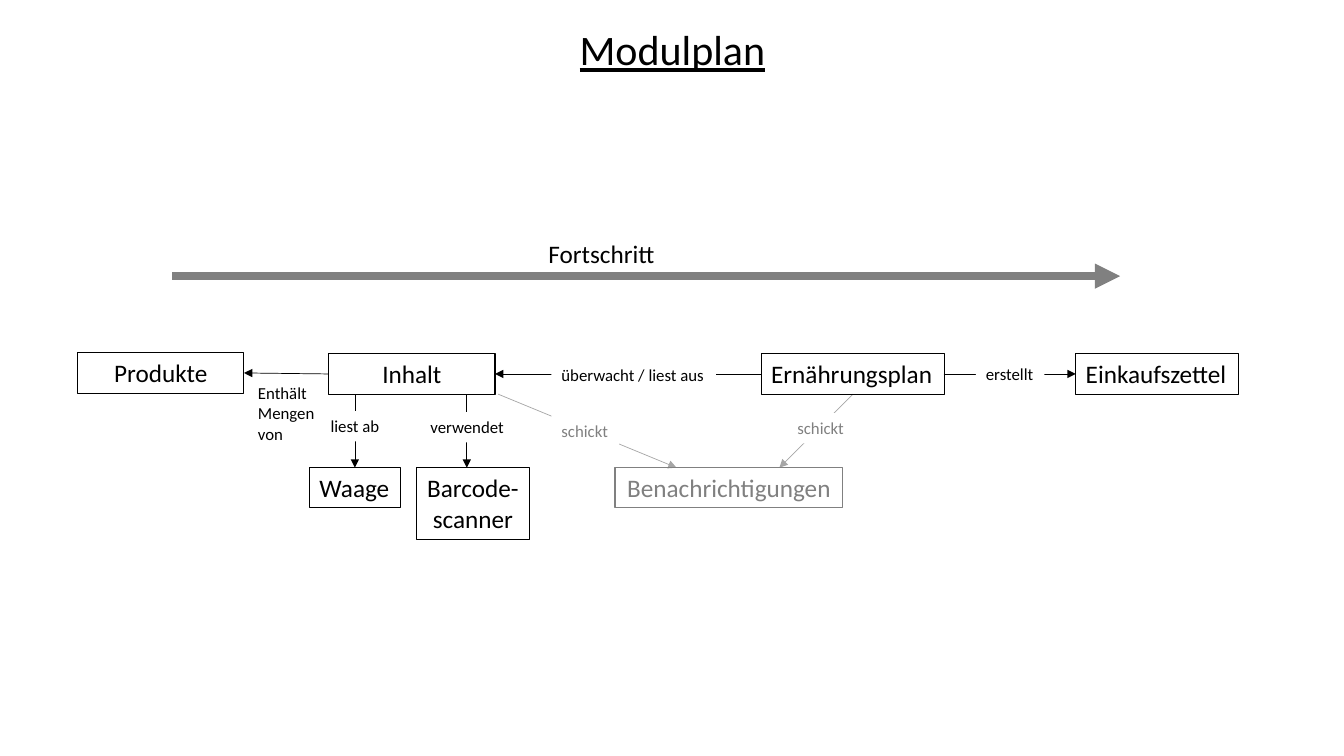
"""Build the Modulplan slide: modules, their links and the progress arrow."""
import pptx
import pptx.dml.color
import pptx.enum.shapes
import pptx.enum.text
import pptx.oxml.ns
import pptx.util
from lxml import etree

Inches = pptx.util.Inches
Pt = pptx.util.Pt
RGBColor = pptx.dml.color.RGBColor
qn = pptx.oxml.ns.qn
ALIGN = pptx.enum.text.PP_ALIGN
FIT = pptx.enum.text.MSO_AUTO_SIZE

BLACK = RGBColor(0x00, 0x00, 0x00)
WHITE = RGBColor(0xFF, 0xFF, 0xFF)
GREY = RGBColor(0x80, 0x80, 0x80)
PALE = RGBColor(0xA6, 0xA6, 0xA6)

deck = pptx.Presentation()
deck.slide_width = Inches(13.33)
deck.slide_height = Inches(7.5)
slide = deck.slides.add_slide(deck.slide_layouts[6])


def add_text(text, place, size, color=BLACK, align=ALIGN.LEFT, wrap=False):
    box = slide.shapes.add_textbox(*[Inches(n) for n in place])
    frame = box.text_frame
    frame.text = text
    frame.word_wrap = wrap
    frame.auto_size = FIT.SHAPE_TO_FIT_TEXT
    for para in frame.paragraphs:
        para.alignment = align
        for run in para.runs:
            run.font.name = "Calibri"
            run.font.size = Pt(size)
            run.font.color.rgb = color
    return box


def add_arrow(start, end, color=BLACK, width=0.5):
    ends = [Inches(n) for n in (*start, *end)]
    line = slide.shapes.add_connector(
        pptx.enum.shapes.MSO_CONNECTOR.STRAIGHT, *ends)
    line.line.color.rgb = color
    line.line.width = Pt(width)
    etree.SubElement(line.line._get_or_add_ln(), qn("a:tailEnd"), type="triangle")
    etree.SubElement(line._element.spPr, qn("a:effectLst"))


title = add_text("Modulplan", (1.67, 0.24, 10, 0.46), 30, align=ALIGN.CENTER, wrap=True)
title.text_frame.auto_size = FIT.NONE
head = title.text_frame.paragraphs[0]
head.line_spacing = 0.9
head.space_before = Pt(10)
head.runs[0].font.underline = True

add_arrow((1.71, 2.74), (11.11, 2.74), GREY, 6)
add_text("Fortschritt", (5.34, 2.32, 1.27, 0.4), 18)

MID, BASE, LOW = 3.71, 3.91, 4.64
links = [
    ((3.26, MID), (2.42, 3.7), BLACK),
    ((7.55, MID), (4.91, MID), BLACK),
    ((9.36, MID), (10.67, MID), BLACK),
    ((3.52, BASE), (3.52, LOW), BLACK),
    ((4.63, BASE), (4.63, LOW), BLACK),
    ((4.94, BASE), (6.71, LOW), PALE),
    ((8.46, BASE), (7.73, LOW), PALE),
]
for start, end, color in links:
    add_arrow(start, end, color)

labels = [
    ("Enthält Mengen von", (2.46, 3.75, 0.79, 0.71), BLACK, True),
    ("überwacht / liest aus", (5.47, 3.57, 1.63, 0.3), BLACK, False),
    ("erstellt", (9.68, 3.56, 0.68, 0.3), BLACK, False),
    ("liest ab", (3.18, 4.08, 0.69, 0.3), BLACK, False),
    ("verwendet", (4.17, 4.09, 0.94, 0.3), BLACK, False),
    ("schickt", (5.47, 4.12, 0.67, 0.3), GREY, False),
    ("schickt", (7.81, 4.1, 0.67, 0.3), GREY, False),
]
for text, place, color, wrap in labels:
    label = add_text(text, place, 12, color, wrap=wrap)
    label.fill.solid()
    label.fill.fore_color.rgb = WHITE

TOP = 3.51
blocks = [
    ("Produkte", (0.77, 3.5, 1.65, 0.4), BLACK, ALIGN.CENTER, True),
    ("Inhalt", (3.26, TOP, 1.65, 0.4), BLACK, ALIGN.CENTER, True),
    ("Ernährungsplan", (7.55, TOP, 1.82, 0.4), BLACK, ALIGN.LEFT, False),
    ("Einkaufszettel", (10.67, TOP, 1.61, 0.4), BLACK, ALIGN.LEFT, False),
    ("Waage", (3.07, LOW, 0.9, 0.4), BLACK, ALIGN.LEFT, False),
    ("Barcode-\nscanner", (4.13, LOW, 1.12, 0.71), BLACK, ALIGN.CENTER, False),
    ("Benachrichtigungen", (6.1, LOW, 2.26, 0.4), GREY, ALIGN.CENTER, True),
]
for text, place, color, align, wrap in blocks:
    block = add_text(text, place, 18, color, align, wrap)
    block.line.color.rgb = color
    block.line.width = Pt(0.75)

deck.save("out.pptx")
